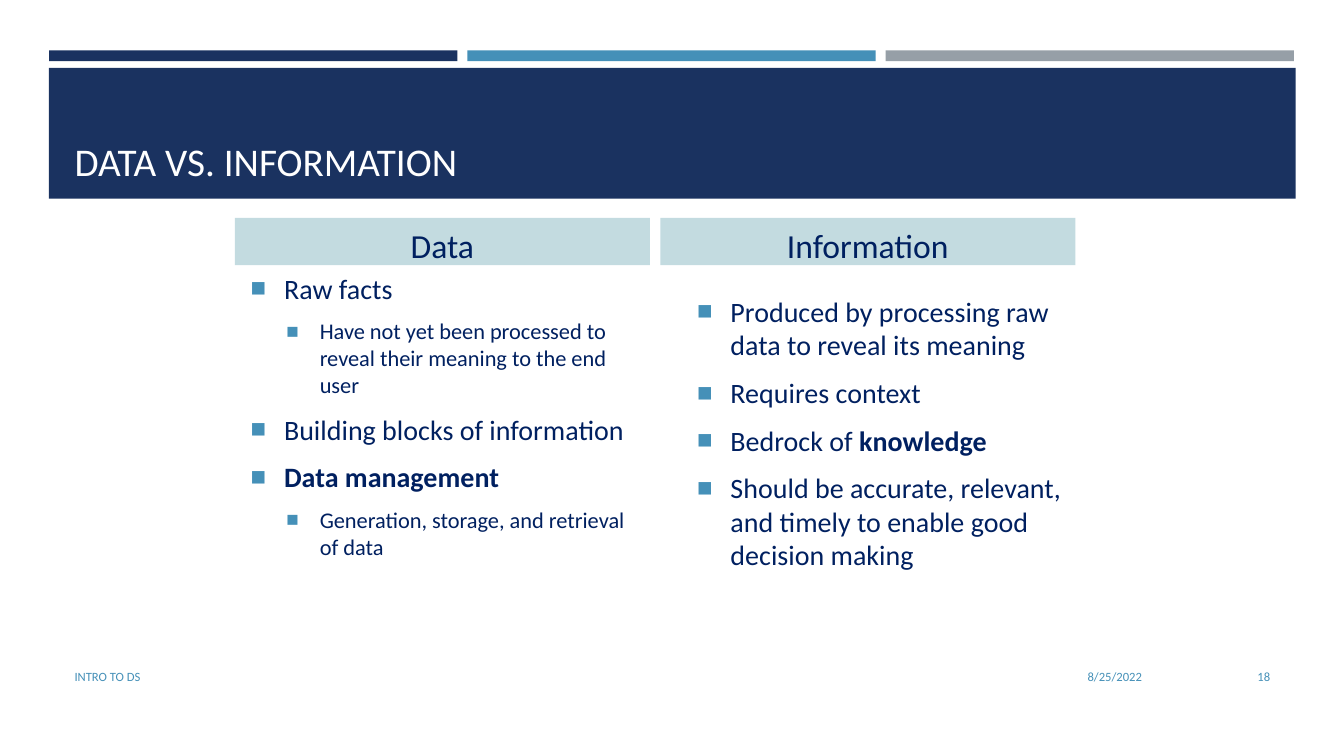
from lxml.etree import SubElement
from pptx import Presentation
from pptx.dml.color import RGBColor
from pptx.enum.shapes import MSO_SHAPE as SHAPE
from pptx.enum.text import MSO_ANCHOR as ANCHOR, PP_ALIGN as ALIGN
from pptx.oxml.ns import qn
from pptx.util import Cm, Pt

# Content
NAVY, BLUE, GRAY, TEAL, INK, WHITE = (
    "1A3260", "4590B8", "969FA7", "117186", "002060", "FFFFFF")
TITLE = "DATA VS. INFORMATION"
STRIPES = [NAVY, BLUE, GRAY]
# Each column: heading, body left, body bottom inset, bullets.
# Each bullet: level, then plain and bold text.
COLUMNS = [
    ("Data", 6.07, 1.0, [
        (0, "Raw facts", ""),
        (1, "Have not yet been processed to reveal their meaning to the end user", ""),
        (0, "Building blocks of information", ""),
        (0, "", "Data management"),
        (1, "Generation, storage, and retrieval of data", ""),
    ]),
    ("Information", 17.32, 0.13, [
        (0, "Produced by processing raw data to reveal its meaning", ""),
        (0, "Requires context", ""),
        (0, "Bedrock of ", "knowledge"),
        (0, "Should be accurate, relevant, and timely to enable good decision making", ""),
    ]),
]
FOOTER = [
    ("INTRO TO DS", 1.63, 19.2, ALIGN.LEFT),
    ("8/25/2022", 21.13, 7.9, ALIGN.RIGHT),
    ("18", 29.34, 2.92, ALIGN.RIGHT),
]
LEVELS = [(20, 0.84), (16, 1.74)]  # size in points, indent in cm
HANG = 0.84
COLUMN_W = 10.46


def rgb(color):
    return RGBColor.from_string(color)


def style(font, size, color, bold=False):
    font.name, font.size, font.bold = "Calibri", Pt(size), bold
    font.color.rgb = rgb(color)


def add_rect(x, y, w, h, color):
    sp = s.shapes.add_shape(SHAPE.RECTANGLE, Cm(x), Cm(y), Cm(w), Cm(h))
    sp.shadow.inherit = False
    sp.fill.solid()
    sp.fill.fore_color.rgb = rgb(color)
    sp.line.fill.background()
    return sp


def add_box(x, y, w, h, anchor=ANCHOR.MIDDLE):
    tf = s.shapes.add_textbox(Cm(x), Cm(y), Cm(w), Cm(h)).text_frame
    tf.word_wrap = True
    tf.vertical_anchor = anchor
    return tf


def write(tf, text, size, color, align=ALIGN.LEFT):
    tf.text = text
    p = tf.paragraphs[0]
    p.alignment = align
    style(p.runs[0].font, size, color)


def add_bullet(p, indent):
    pPr = p._p.get_or_add_pPr()
    pPr.set("marL", str(Cm(indent)))
    pPr.set("indent", str(-Cm(HANG)))
    SubElement(SubElement(pPr, qn("a:buClr")), qn("a:srgbClr"), val=BLUE)
    SubElement(pPr, qn("a:buSzPct"), val="92000")
    SubElement(pPr, qn("a:buFont"), typeface="Arial")
    SubElement(pPr, qn("a:buChar"), char="■")


prs = Presentation()
prs.slide_width, prs.slide_height = Cm(33.87), Cm(19.05)
s = prs.slides.add_slide(prs.slide_layouts[6])

# Stripes and title band
for i, color in enumerate(STRIPES):
    add_rect(1.24 + i * 10.54, 1.27, 10.29, 0.27, color)
add_rect(1.23, 1.71, 31.42, 3.3, NAVY)
write(add_box(1.63, 1.96, 30.63, 2.82, ANCHOR.BOTTOM), TITLE, 28, WHITE)

# Two columns
for i, (heading, left, bottom, bullets) in enumerate(COLUMNS):
    head = add_rect(5.92 + i * 10.72, 5.49, COLUMN_W, 1.19, TEAL)
    fill = head.fill._xPr.find(qn("a:solidFill"))
    SubElement(fill[0], qn("a:alpha"), val="25000")
    tf = head.text_frame
    tf.margin_top, tf.margin_bottom = Cm(0.17), 0
    tf.vertical_anchor = ANCHOR.MIDDLE
    write(tf, heading, 24, INK, ALIGN.CENTER)

    tf = add_box(left, 5.87, COLUMN_W, 10.08)
    tf.margin_bottom = Cm(bottom)
    for n, (level, plain, strong) in enumerate(bullets):
        p = tf.add_paragraph() if n else tf.paragraphs[0]
        size, indent = LEVELS[level]
        p.level = level
        add_bullet(p, indent)
        p.space_before = Pt(size * 0.2 if n else 0)
        p.space_after = Pt(6)
        for text, bold in ((plain, False), (strong, True)):
            if text:
                r = p.add_run()
                r.text = text
                style(r.font, size, INK, bold)

# Footer
for text, x, w, align in FOOTER:
    write(add_box(x, 16.54, w, 1.02), text, 9, BLUE, align)

prs.save("out.pptx")
